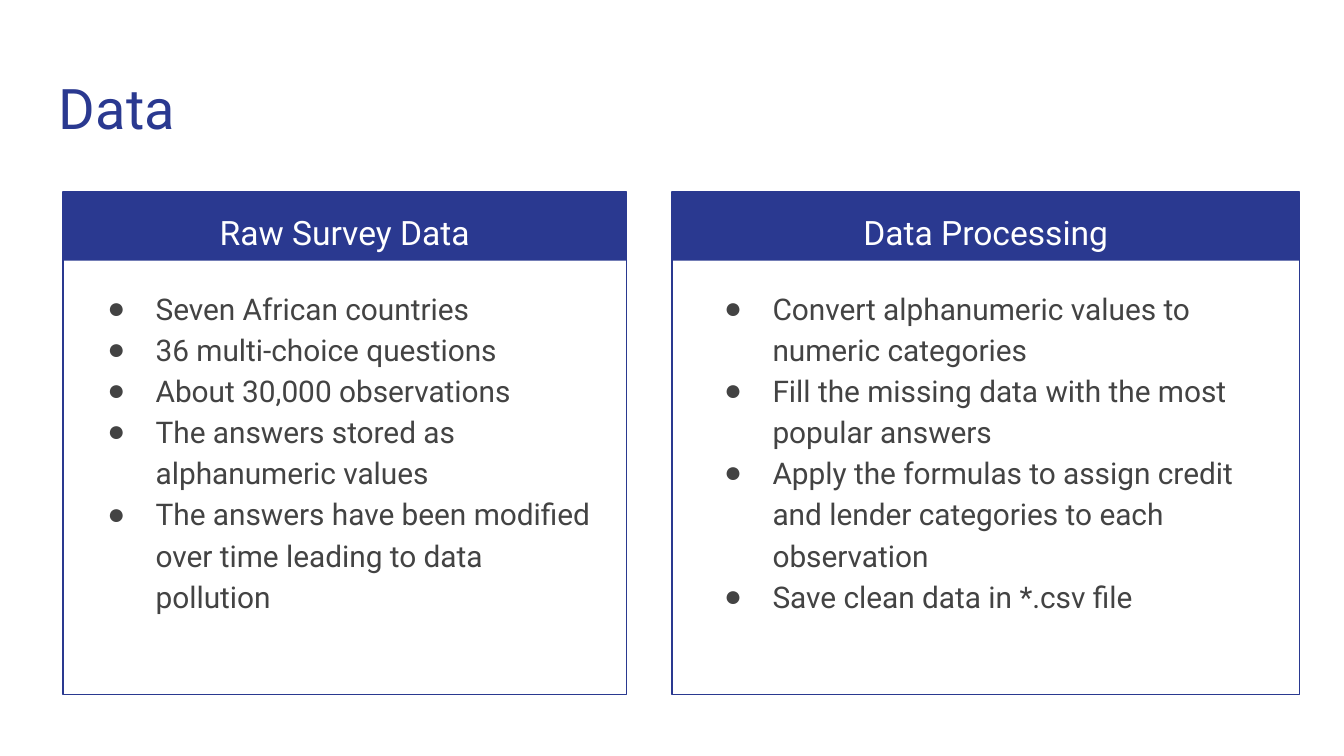
from lxml.etree import SubElement
from pptx import Presentation
from pptx.dml.color import RGBColor
from pptx.enum.shapes import MSO_SHAPE
from pptx.enum.text import MSO_ANCHOR, PP_ALIGN
from pptx.oxml.ns import qn
from pptx.util import Pt

PX = 9144  # 100 px to the inch
SLIDE_WIDTH = 1000
FONT, BULLET_FONT = "Roboto", "Arial"
COLORS = {"navy": "2A3990", "white": "FFFFFF", "gray": "434343"}
HEADER_HEIGHT = 51
CARD_TOP, CARD_HEIGHT = 143, 374
CARDS = [
    # left, width, left and right margin of the list, heading, points
    (47, 419, 9, 7, "Raw Survey Data", [
        "Seven African countries",
        "36 multi-choice questions",
        "About 30,000 observations",
        "The answers stored as alphanumeric values",
        "The answers have been modified over time leading to data pollution",
    ]),
    (500, 467, 15, 9, "Data Processing", [
        "Convert alphanumeric values to numeric categories",
        "Fill the missing data with the most popular answers",
        "Apply the formulas to assign credit and lender categories to each observation",
        "Save clean data in *.csv file",
    ]),
]


def color(name):
    return RGBColor.from_string(COLORS[name])


def add_text(slide, box, lines, size, color_name, align=PP_ALIGN.LEFT, spacing=1.0):
    frame = slide.shapes.add_textbox(*(n * PX for n in box)).text_frame
    frame.word_wrap = True
    frame.vertical_anchor = MSO_ANCHOR.TOP
    frame.margin_left = frame.margin_right = 10 * PX
    frame.margin_top = frame.margin_bottom = 10 * PX
    frame.text = "\n".join(lines)
    for paragraph in frame.paragraphs:
        paragraph.alignment = align
        paragraph.line_spacing = spacing
        font = paragraph.runs[0].font
        font.name, font.size = FONT, Pt(size)
        font.color.rgb = color(color_name)
    return frame


def add_bullet(paragraph, color_name):
    properties = paragraph._p.get_or_add_pPr()
    properties.set("marL", str(50 * PX))
    properties.set("indent", str(-36 * PX))
    bullet_color = SubElement(properties, qn("a:buClr"))
    SubElement(bullet_color, qn("a:srgbClr"), val=COLORS[color_name])
    SubElement(properties, qn("a:buFont"), typeface=BULLET_FONT)
    SubElement(properties, qn("a:buChar"), char="●")


def add_rectangle(slide, box):
    rectangle = slide.shapes.add_shape(MSO_SHAPE.RECTANGLE, *(n * PX for n in box))
    rectangle.shadow.inherit = False
    rectangle.fill.background()
    rectangle.line.fill.background()
    return rectangle


def add_card(slide, box, list_left, list_right, heading, points):
    """Draw a framed card with a filled heading bar and a bulleted list."""
    left, top, width, height = box
    header_box = (left, top, width, HEADER_HEIGHT)

    header = add_rectangle(slide, header_box)
    header.fill.solid()
    header.fill.fore_color.rgb = color("navy")

    border = add_rectangle(slide, box)
    border.line.color.rgb = color("navy")
    border.line.width = Pt(0.75)

    add_text(slide, header_box, [heading], 18, "white", PP_ALIGN.CENTER, 1.15)
    list_box = (left + list_left, top + HEADER_HEIGHT + 8,
                width - list_left - list_right, height - HEADER_HEIGHT - 17)
    for point in add_text(slide, list_box, points, 16, "gray", spacing=1.15).paragraphs:
        add_bullet(point, "gray")


def add_title(slide, box, title):
    add_text(slide, box, [title], 30, "navy")


def main():
    deck = Presentation()
    deck.slide_width = SLIDE_WIDTH * PX
    deck.slide_height = SLIDE_WIDTH * PX * 9 // 16
    slide = deck.slides.add_slide(deck.slide_layouts[6])
    add_title(slide, (34, 45, 932, 66), "Data")
    for left, width, list_left, list_right, heading, points in CARDS:
        add_card(slide, (left, CARD_TOP, width, CARD_HEIGHT),
                 list_left, list_right, heading, points)
    deck.save("out.pptx")


if __name__ == "__main__":
    main()
